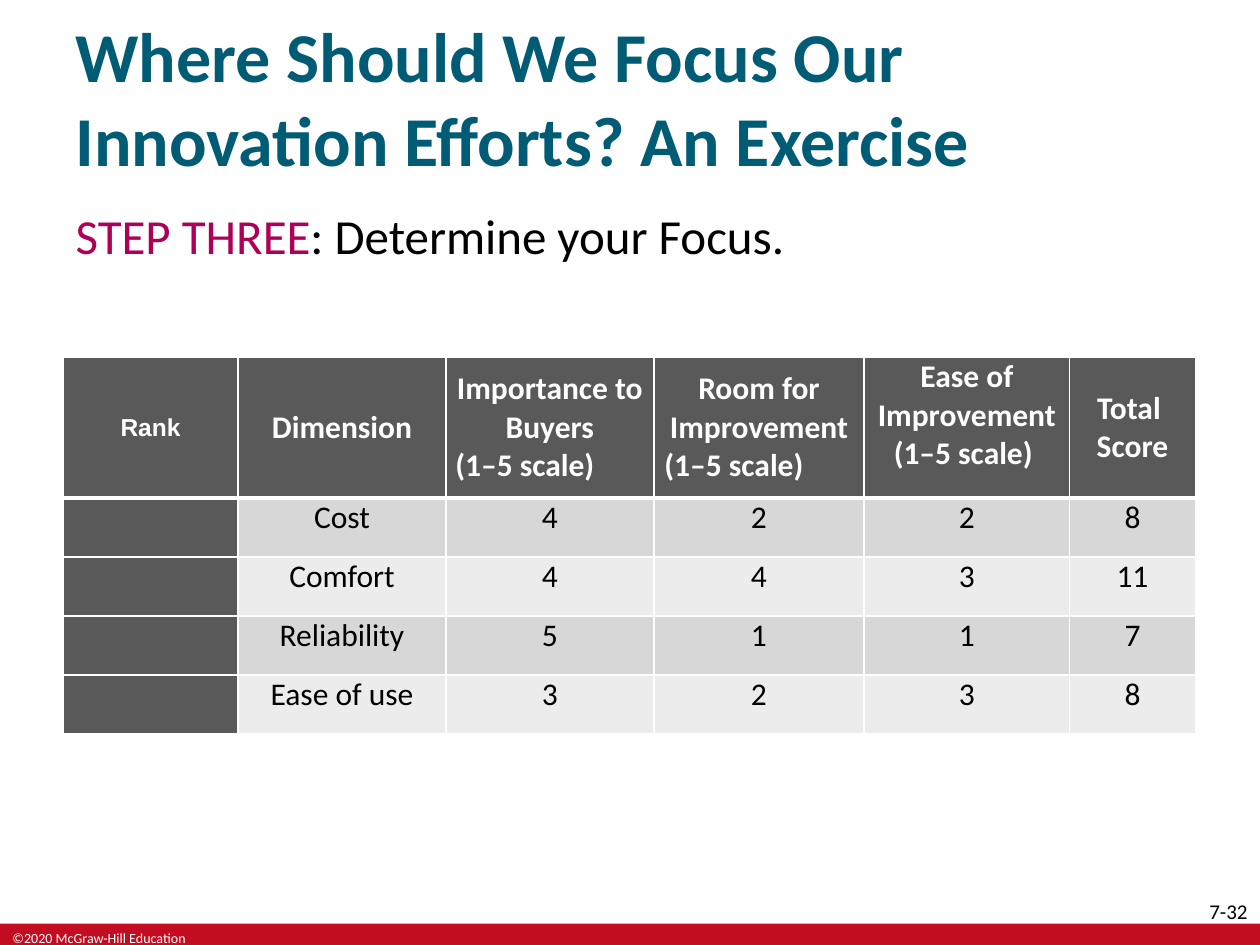
from dataclasses import dataclass

from lxml import etree
from pptx import Presentation
from pptx.dml.color import RGBColor
from pptx.enum.shapes import MSO_SHAPE
from pptx.enum.text import MSO_ANCHOR, MSO_AUTO_SIZE, PP_ALIGN
from pptx.oxml.ns import qn
from pptx.util import Cm, Pt

LEFT, CENTER, RIGHT = PP_ALIGN.LEFT, PP_ALIGN.CENTER, PP_ALIGN.RIGHT
TOP, MIDDLE = MSO_ANCHOR.TOP, MSO_ANCHOR.MIDDLE
RECT, NO_FIT = MSO_SHAPE.RECTANGLE, MSO_AUTO_SIZE.NONE


@dataclass
class Theme:
    font: str = "Calibri"
    alt: str = "Arial"
    white: str = "FFFFFF"
    black: str = "000000"
    teal: str = "005C74"
    plum: str = "AD0057"
    red: str = "C30C20"
    dark: str = "595959"
    bands: tuple = ("D7D7D8", "ECECEC")
    head: int = 40
    lead: int = 28
    cell: int = 18
    rank: int = 14
    page: int = 12
    note: int = 8


class Deck:
    """Holds the theme and the current slide."""

    def __init__(self, theme, slide):
        self.theme, self.slide = theme, slide

    def style(self, para, size, color, bold=False, font=None):
        for run in para.runs:
            run.font.name = font or self.theme.font
            run.font.size = Pt(size)
            run.font.bold = bold
            run.font.color.rgb = RGBColor.from_string(color)

    def place(self, shape, box):
        shape.left, shape.top, shape.width, shape.height = map(Cm, box)

    def title(self, text, box):
        shape = self.slide.shapes.title
        self.place(shape, box)
        frame = shape.text_frame
        frame.text = text
        frame.auto_size = NO_FIT
        frame.vertical_anchor = MIDDLE
        para = frame.paragraphs[0]
        para.alignment = LEFT
        self.style(para, self.theme.head, self.theme.teal, True)

    def lead(self, mark, text, box):
        shape = self.slide.placeholders[1]
        self.place(shape, box)
        frame = shape.text_frame
        frame.text = mark
        frame.auto_size = NO_FIT
        para = frame.paragraphs[0]
        props = para._p.get_or_add_pPr()
        props.set("marL", "0")
        props.set("indent", "0")
        etree.SubElement(props, qn("a:buNone"))
        para.space_before, para.space_after = Pt(0), Pt(6)
        para.add_run().text = text
        self.style(para, self.theme.lead, self.theme.black)
        para.runs[0].font.color.rgb = RGBColor.from_string(self.theme.plum)

    def bar(self, box, color):
        shape = self.slide.shapes.add_shape(RECT, *map(Cm, box))
        shape.shadow.inherit = False
        shape.fill.solid()
        shape.fill.fore_color.rgb = RGBColor.from_string(color)
        shape.line.fill.background()

    def label(self, text, box, size, color, align=LEFT):
        frame = self.slide.shapes.add_textbox(*map(Cm, box)).text_frame
        frame.word_wrap = True
        frame.text = text
        para = frame.paragraphs[0]
        para.alignment = align
        self.style(para, size, color)

    def edges(self, cell, above, below):
        props = cell._tc.get_or_add_tcPr()
        for side, width in zip("LRTB", (1, 1, above, below)):
            line = etree.SubElement(props, qn(f"a:ln{side}"), w=str(Pt(width)))
            fill = etree.SubElement(line, qn("a:solidFill"))
            etree.SubElement(fill, qn("a:srgbClr"), val=self.theme.white)

    def cell(self, cell, text, row, col):
        theme, top = self.theme, row == 0
        self.edges(cell, 3 if row == 1 else 1, 3 if top else 1)
        dark = top or col == 0
        cell.fill.solid()
        cell.fill.fore_color.rgb = RGBColor.from_string(
            theme.dark if dark else theme.bands[(row - 1) % 2])
        cell.margin_left = cell.margin_right = Cm(0.15)
        cell.margin_top = cell.margin_bottom = 0
        cell.vertical_anchor = MIDDLE if top else TOP
        cell.text_frame.text = text
        rank = col == 0
        for para in cell.text_frame.paragraphs:
            para.alignment = CENTER
            self.style(para, theme.rank if rank else theme.cell,
                       theme.white if dark else theme.black,
                       top, theme.alt if rank else theme.font)

    def table(self, rows, box, widths, heights):
        grid = self.slide.shapes.add_table(
            len(rows), len(widths), *map(Cm, box)).table
        grid.horz_banding = False
        for col, width in zip(grid.columns, widths):
            col.width = Cm(width)
        for row, height in zip(grid.rows, heights):
            row.height = Cm(height)
        for r, row in enumerate(rows):
            for c, text in enumerate(row):
                self.cell(grid.cell(r, c), text, r, c)
        return grid


def main():
    show = Presentation()
    show.slide_width, show.slide_height = Cm(25.4), Cm(19.05)
    theme = Theme()
    deck = Deck(theme, show.slides.add_slide(show.slide_layouts[1]))

    # Footer
    deck.bar((0, 18.62, 25.4, 0.43), theme.red)
    deck.label("©2020 McGraw-Hill Education", (0, 18.62, 4.57, 0.43),
               theme.note, theme.white)
    deck.label("7-32", (24.03, 17.98, 1.37, 0.51),
               theme.page, theme.black, RIGHT)

    # Title and step
    deck.title("Where Should We Focus Our Innovation Efforts? An Exercise",
               (1.27, 0.43, 22.86, 3.05))
    deck.lead("STEP THREE", ": Determine your Focus.",
              (1.27, 4.01, 22.86, 1.47))

    # Score table
    rows = [
        ("Rank", "Dimension", "Importance to Buyers\n(1–5 scale) \t",
         "Room for Improvement (1–5 scale) \t",
         "Ease of Improvement (1–5 scale) ", "Total \nScore"),
        ("", "Cost", "4", "2", "2", "8"),
        ("", "Comfort", "4", "4", "3", "11"),
        ("", "Reliability", "5", "1", "1", "7"),
        ("", "Ease of use", "3", "2", "3", "8"),
    ]
    grid = deck.table(rows, (1.27, 7.2, 22.86, 7.6),
                      (3.53, 4.19, 4.19, 4.24, 4.14, 2.54),
                      (2.84, *[1.19] * 4))
    grid.cell(0, 4).margin_bottom = Cm(0.5)

    show.save("out.pptx")


if __name__ == "__main__":
    main()
